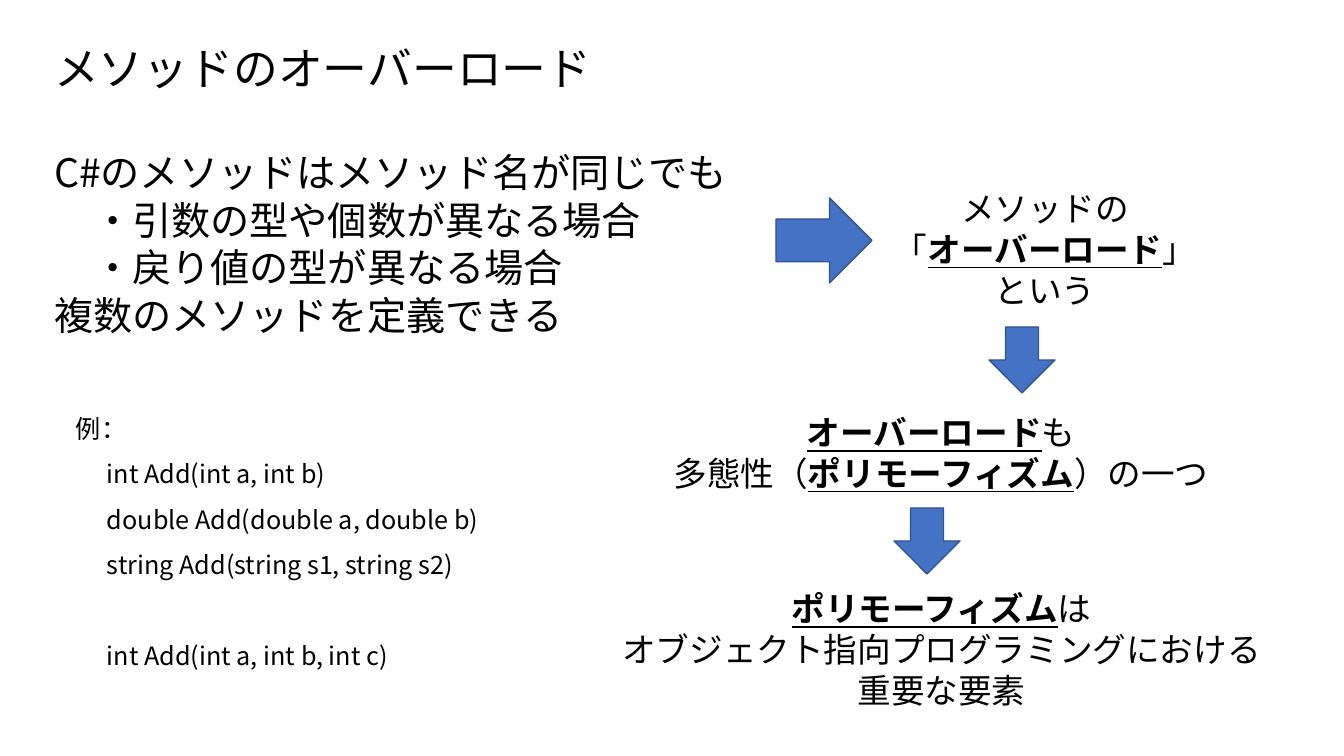
"""Build the method overloading slide."""
from lxml import etree
from pptx import Presentation
from pptx.dml.color import RGBColor
from pptx.enum import shapes, text
from pptx.oxml.ns import qn
from pptx.util import Emu, Pt

PX = 9071
FONT = "Noto Sans CJK JP"
OVERLOAD, POLYMORPHISM = "オーバーロード", "ポリモーフィズム"


def px(n):
    """Turn pixels into EMU."""
    return Emu(round(n * PX))


def rgb(value):
    """Turn a hex string into a colour."""
    return RGBColor.from_string(value)


def place(sp, box):
    """Move a shape to a pixel box."""
    sp.left, sp.top, sp.width, sp.height = map(px, box)


def write(sp, box, lines, size, pitch=1.21, align=text.PP_ALIGN.LEFT, indents=()):
    """Fill a shape with lines, where a run in a tuple is emphasised."""
    place(sp, box)
    tf = sp.text_frame
    tf.word_wrap = True
    tf.auto_size = text.MSO_AUTO_SIZE.NONE
    tf.vertical_anchor = text.MSO_ANCHOR.TOP
    for i, line in enumerate(lines):
        p = tf.add_paragraph() if i else tf.paragraphs[0]
        p.alignment = align
        p.line_spacing = Pt(round(size * pitch, 1))
        p.space_before = p.space_after = Pt(0)
        pPr = p._p.get_or_add_pPr()
        pPr.set("marL", str(px(indents[i] if indents else 0)))
        pPr.set("indent", "0")
        etree.SubElement(pPr, qn("a:buNone"))
        for part in line:
            r = p.add_run()
            strong = isinstance(part, tuple)
            r.text = part[0] if strong else part
            r.font.size, r.font.name = Pt(size), FONT
            r.font.color.rgb = rgb("000000")
            if strong:
                r.font.bold = r.font.underline = True
            ea = etree.SubElement(r._r.get_or_add_rPr(), qn("a:ea"))
            ea.set("typeface", FONT)
    return tf


def add_arrow(s, kind, box):
    """Draw a blue block arrow."""
    sp = s.shapes.add_shape(kind, *map(px, box))
    sp.shadow.inherit = False
    sp.fill.solid()
    sp.fill.fore_color.rgb = rgb("4472C4")
    sp.line.color.rgb = rgb("325491")
    sp.line.width = Pt(1)


def add_definition(s, box):
    """Place the rule about methods in the body placeholder."""
    write(s.placeholders[1], box, [
        ["C#のメソッドはメソッド名が同じでも"],
        ["・引数の型や個数が異なる場合"],
        ["・戻り値の型が異なる場合"],
        ["複数のメソッドを定義できる"],
    ], 28, indents=(0, 39, 39, 0))


def add_example(s, box):
    """Place the sample signatures, the last one set apart."""
    signatures = ["int Add(int a, int b)", "double Add(double a, double b)",
                  "string Add(string s1, string s2)", "int Add(int a, int b, int c)"]
    tf = write(s.shapes.add_textbox(0, 0, 0, 0), box,
               [["例："]] + [[sig] for sig in signatures],
               18, pitch=1.8, indents=[0] + [31] * len(signatures))
    tf.paragraphs[-1].space_before = Pt(32.4)


def add_flow(s, box):
    """Place the chain of conclusions and the arrows between them."""
    x, y = box[:2]
    steps = [
        ((277, 0, 390, 132), [["メソッドの"], ["「", (OVERLOAD,), "」"], ["という"]]),
        ((80, 224, 576, 92), [[(OVERLOAD,), "も"],
                              ["多態性（", (POLYMORPHISM,), "）の一つ"]]),
        ((0, 400, 737, 132), [[(POLYMORPHISM,), "は"],
                              ["オブジェクト指向プログラミングにおける"], ["重要な要素"]]),
    ]
    for (dx, dy, w, h), lines in steps:
        write(s.shapes.add_textbox(0, 0, 0, 0), (x + dx, y + dy, w, h), lines, 24,
              align=text.PP_ALIGN.CENTER)
    kinds = shapes.MSO_SHAPE
    add_arrow(s, kinds.RIGHT_ARROW, (x + 203, y + 15, 96, 85))
    for dx, dy in ((416, 144), (321, 325)):
        add_arrow(s, kinds.DOWN_ARROW, (x + dx, y + dy, 66, 66))


prs = Presentation()
prs.slide_width, prs.slide_height = px(1344), px(756)
s = prs.slides.add_slide(prs.slide_layouts[1])
write(s.shapes.title, (44, 35, 686, 65), [["メソッドのオーバーロード"]], 32)
add_definition(s, (44, 143, 1021, 201))
add_example(s, (66, 393, 425, 280))
add_flow(s, (573, 183, 737, 532))
prs.save("out.pptx")
